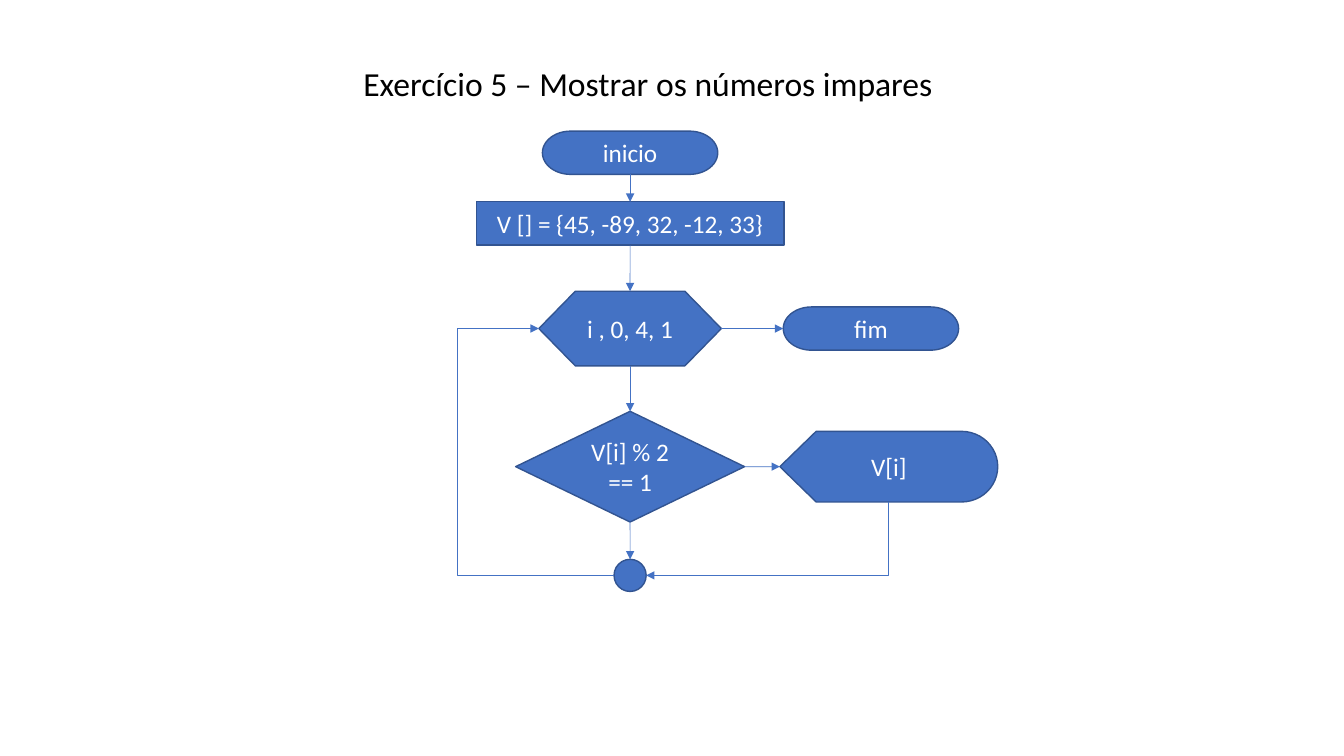
from lxml.etree import SubElement
from pptx import Presentation
from pptx.dml.color import RGBColor
from pptx.enum.shapes import MSO_CONNECTOR, MSO_SHAPE
from pptx.enum.text import MSO_ANCHOR, MSO_AUTO_SIZE, PP_ALIGN
from pptx.oxml.ns import qn
from pptx.util import Cm, Pt


def rgb(value):
    """Turn a hex string into a colour."""
    return RGBColor.from_string(value)


def top(sp):
    """Middle of the top edge."""
    return sp.left + sp.width // 2, sp.top


def bottom(sp):
    """Middle of the bottom edge."""
    return sp.left + sp.width // 2, sp.top + sp.height


def left(sp):
    """Middle of the left edge."""
    return sp.left, sp.top + sp.height // 2


def right(sp):
    """Middle of the right edge."""
    return sp.left + sp.width, sp.top + sp.height // 2


class Flowchart:
    """Style of the flowchart and the slide it is drawn on."""

    FONT = "Calibri"
    FILL, EDGE = "4472C4", "325491"
    TEXT, TITLE = "FFFFFF", "000000"

    def __init__(self, slide):
        """Keep the slide to draw on."""
        self.slide = slide

    def label(self, sp, text, size, color):
        """Put one centred paragraph into a shape."""
        tf = sp.text_frame
        tf.word_wrap = True
        p = tf.paragraphs[0]
        p.text = text
        p.alignment = PP_ALIGN.CENTER
        for r in p.runs:
            r.font.name = self.FONT
            r.font.size = Pt(size)
            r.font.color.rgb = rgb(color)
        return tf

    def title(self, text, x, y, w, h):
        """Place and fill the title placeholder."""
        sp = self.slide.shapes.title
        sp.left, sp.top, sp.width, sp.height = Cm(x), Cm(y), Cm(w), Cm(h)
        tf = self.label(sp, text, 24, self.TITLE)
        tf.auto_size = MSO_AUTO_SIZE.NONE
        tf.vertical_anchor = MSO_ANCHOR.TOP
        tf.paragraphs[0].line_spacing = 0.8
        tf.paragraphs[0].space_before = Pt(10)

    def node(self, kind, cx, cy, w, h, text=""):
        """Add a flowchart symbol around its centre."""
        sp = self.slide.shapes.add_shape(
            kind, Cm(cx - w / 2), Cm(cy - h / 2), Cm(w), Cm(h))
        sp.shadow.inherit = False
        sp.fill.solid()
        sp.fill.fore_color.rgb = rgb(self.FILL)
        sp.line.color.rgb = rgb(self.EDGE)
        sp.line.width = Pt(1)
        if text:
            tf = self.label(sp, text, 18, self.TEXT)
            tf.vertical_anchor = MSO_ANCHOR.MIDDLE
        return sp

    def arrow(self, start, end, kind=MSO_CONNECTOR.STRAIGHT):
        """Add a connector with an arrowhead at its end."""
        cxn = self.slide.shapes.add_connector(kind, *start, *end)
        cxn.line.color.rgb = rgb(self.FILL)
        cxn.line.width = Pt(0.5)
        props = cxn._element.spPr
        SubElement(props.find(qn("a:ln")), qn("a:tailEnd"), type="triangle")
        SubElement(props, qn("a:effectLst"))
        return cxn

    def elbow(self, start, end, turn_x):
        """Add a bent arrow whose upright part stands at turn_x."""
        cxn = self.arrow(start, end, MSO_CONNECTOR.ELBOW)
        share = round(100000 * (turn_x - start[0]) / (end[0] - start[0]))
        guides = cxn._element.spPr.find(qn("a:prstGeom")).find(qn("a:avLst"))
        SubElement(guides, qn("a:gd"), name="adj1", fmla=f"val {share}")


prs = Presentation()
prs.slide_width, prs.slide_height = Cm(33.87), Cm(19.05)
s = prs.slides.add_slide(prs.slide_layouts[5])
chart = Flowchart(s)
chart.title("Exercício 5 – Mostrar os números impares", 3.63, 1.65, 25.4, 1.09)

AXIS, LOOP_Y, TEST_Y = 15.88, 8.28, 11.76
BAR = 1.09
END = (4.42, BAR)

start = chart.node(MSO_SHAPE.FLOWCHART_TERMINATOR, AXIS, 3.85, *END, "inicio")
vector = chart.node(MSO_SHAPE.FLOWCHART_PROCESS, AXIS, 5.63, 7.75, BAR,
                    "V [] = {45, -89, 32, -12, 33}")
loop = chart.node(MSO_SHAPE.FLOWCHART_PREPARATION, AXIS, LOOP_Y, 4.6, 1.88,
                  "i , 0, 4, 1")
test = chart.node(MSO_SHAPE.FLOWCHART_DECISION, AXIS, TEST_Y, 5.77, 2.79,
                  "V[i] % 2 == 1")
junction = chart.node(MSO_SHAPE.OVAL, AXIS, 14.5, 0.81, 0.81)
finish = chart.node(MSO_SHAPE.FLOWCHART_TERMINATOR, 21.95, LOOP_Y, *END, "fim")
show = chart.node(MSO_SHAPE.FLOWCHART_DISPLAY, 22.4, TEST_Y, 5.49, 1.78, "V[i]")

column = [start, vector, loop, test, junction]
for upper, lower in zip(column, column[1:]):
    chart.arrow(bottom(upper), top(lower))
for source, target in [(loop, finish), (test, show)]:
    chart.arrow(right(source), left(target))

chart.elbow(bottom(show), right(junction), bottom(show)[0])
chart.elbow(left(junction), left(loop), Cm(11.53))

prs.save("out.pptx")
